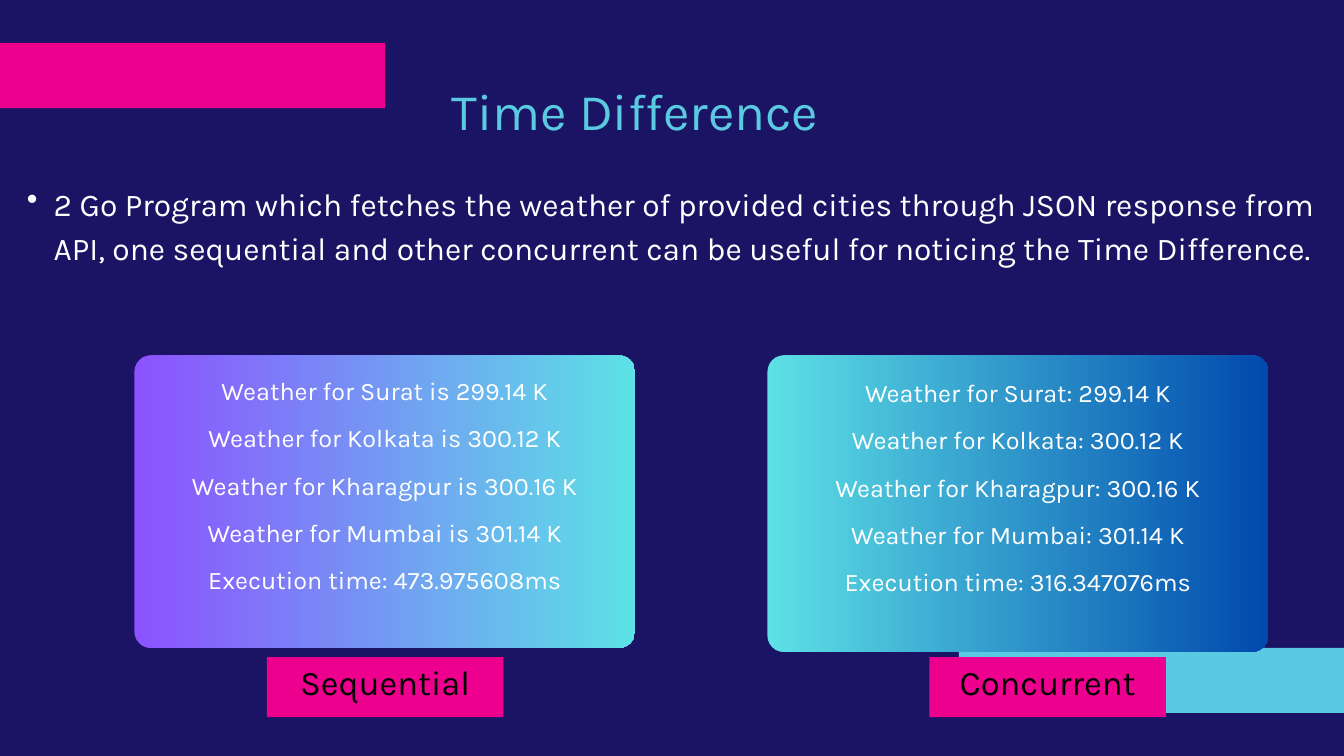
import dataclasses

import pptx
import pptx.dml.color
import pptx.enum.shapes
import pptx.enum.text
import pptx.oxml
import pptx.oxml.ns
import pptx.util

Inches = pptx.util.Inches
Pt = pptx.util.Pt
Shapes = pptx.enum.shapes.MSO_SHAPE
Align = pptx.enum.text.PP_ALIGN
Anchor = pptx.enum.text.MSO_ANCHOR


@dataclasses.dataclass(frozen=True)
class Theme:
    font: str = "Karla"
    background: str = "1B1464"
    pink: str = "ED008D"
    sky: str = "5ACAE2"
    white: str = "FFFFFF"
    black: str = "000000"
    violet_to_aqua: tuple = ("8C52FF", "5CE1E6")
    aqua_to_blue: tuple = ("5DE0E6", "004AAD")
    # Type size and line spacing in points
    title: tuple = (55, 77)
    body: tuple = (34, 47.6)
    card: tuple = (27, 50.8)
    label: tuple = (37, 51.8)


def rgb(value):
    return pptx.dml.color.RGBColor.from_string(value)


class SlideBuilder:
    def __init__(self, slide, theme):
        self.slide = slide
        self.theme = theme
        fill = slide.background.fill
        fill.solid()
        fill.fore_color.rgb = rgb(theme.background)

    def set_text(self, shape, text, style, color, align=Align.CENTER,
                 anchor=Anchor.MIDDLE, inset=0.06):
        size, spacing = style
        frame = shape.text_frame
        frame.text = text
        frame.word_wrap = True
        frame.auto_size = pptx.enum.text.MSO_AUTO_SIZE.NONE
        frame.vertical_anchor = anchor
        frame.margin_left = frame.margin_right = Inches(inset)
        frame.margin_top = frame.margin_bottom = Inches(inset)
        for paragraph in frame.paragraphs:
            paragraph.alignment = align
            paragraph.line_spacing = Pt(spacing)
            paragraph.space_before = paragraph.space_after = Pt(0)
            for run in paragraph.runs:
                run.font.name = self.theme.font
                run.font.size = Pt(size)
                run.font.color.rgb = rgb(color)

    def title(self, text, left, top, width, height):
        shape = self.slide.shapes.title
        shape.left, shape.top = Inches(left), Inches(top)
        shape.width, shape.height = Inches(width), Inches(height)
        self.set_text(shape, text, self.theme.title, self.theme.sky,
                      anchor=Anchor.TOP, inset=0)

    def text(self, text, left, top, width, height, style, color, **options):
        box = self.slide.shapes.add_textbox(
            Inches(left), Inches(top), Inches(width), Inches(height))
        self.set_text(box, text, style, color, **options)
        return box

    def bullet(self, text, left, top, width, height):
        box = self.text(text, left, top, width, height, self.theme.body,
                        self.theme.white, align=Align.LEFT,
                        anchor=Anchor.TOP, inset=0)
        properties = box.text_frame.paragraphs[0]._p.get_or_add_pPr()
        properties.set("marL", str(Inches(0.8)))
        properties.set("indent", str(Inches(-0.4)))
        mark = pptx.oxml.parse_xml(
            f'<a:buChar {pptx.oxml.ns.nsdecls("a")} char="•"/>')
        properties.append(mark)

    def shape(self, kind, left, top, width, height):
        shape = self.slide.shapes.add_shape(
            kind, Inches(left), Inches(top), Inches(width), Inches(height))
        shape.shadow.inherit = False
        shape.line.fill.background()
        return shape

    def bar(self, left, top, width, height, color):
        shape = self.shape(Shapes.RECTANGLE, left, top, width, height)
        shape.fill.solid()
        shape.fill.fore_color.rgb = rgb(color)

    def card(self, lines, left, top, width, height, colors):
        shape = self.shape(Shapes.ROUNDED_RECTANGLE, left, top, width, height)
        shape.adjustments[0] = 0.24 / height
        shape.fill.gradient()
        shape.fill.gradient_angle = 0
        for stop, color in zip(shape.fill.gradient_stops, colors):
            stop.color.rgb = rgb(color)
        # The text area starts above the card
        self.text("\n".join(lines), left, top - 0.75, width, height + 0.75,
                  self.theme.card, self.theme.white)

    def label(self, text, left, top, width, height):
        self.bar(left, top, width, height, self.theme.pink)
        self.text(text, left, top - 0.27, width, height + 0.27,
                  self.theme.label, self.theme.black)


def weather_lines(separator, execution_time):
    readings = {"Surat": "299.14", "Kolkata": "300.12",
                "Kharagpur": "300.16", "Mumbai": "301.14"}
    lines = [f"Weather for {city}{separator} {kelvin} K"
             for city, kelvin in readings.items()]
    return lines + [f"Execution time: {execution_time}"]


def main():
    presentation = pptx.Presentation()
    presentation.slide_width = Inches(20)
    presentation.slide_height = Inches(11.25)
    theme = Theme()
    slide = presentation.slides.add_slide(presentation.slide_layouts[5])
    builder = SlideBuilder(slide, theme)

    # Heading and introduction
    builder.title("Time Difference", 6.46, 1.02, 5.98, 1.01)
    builder.bullet(
        "2 Go Program which fetches the weather of provided cities through "
        "JSON response from API, one sequential and other concurrent can be "
        "useful for noticing the Time Difference.", 0, 2.65, 20, 1.95)

    # Decorative bars at the slide edges
    builder.bar(0, 0.64, 5.73, 0.97, theme.pink)
    builder.bar(14.27, 9.64, 5.73, 0.97, theme.sky)

    # Result cards with their labels
    results = [
        ("Sequential", " is", "473.975608ms", 2, 4.35, 3.97,
         theme.violet_to_aqua),
        ("Concurrent", ":", "316.347076ms", 11.42, 4.41, 13.83,
         theme.aqua_to_blue),
    ]
    for name, separator, time, left, height, label_left, colors in results:
        builder.card(weather_lines(separator, time), left, 5.29, 7.45, height,
                     colors)
        builder.label(name, label_left, 9.78, 3.52, 0.89)

    presentation.save("out.pptx")


if __name__ == "__main__":
    main()
